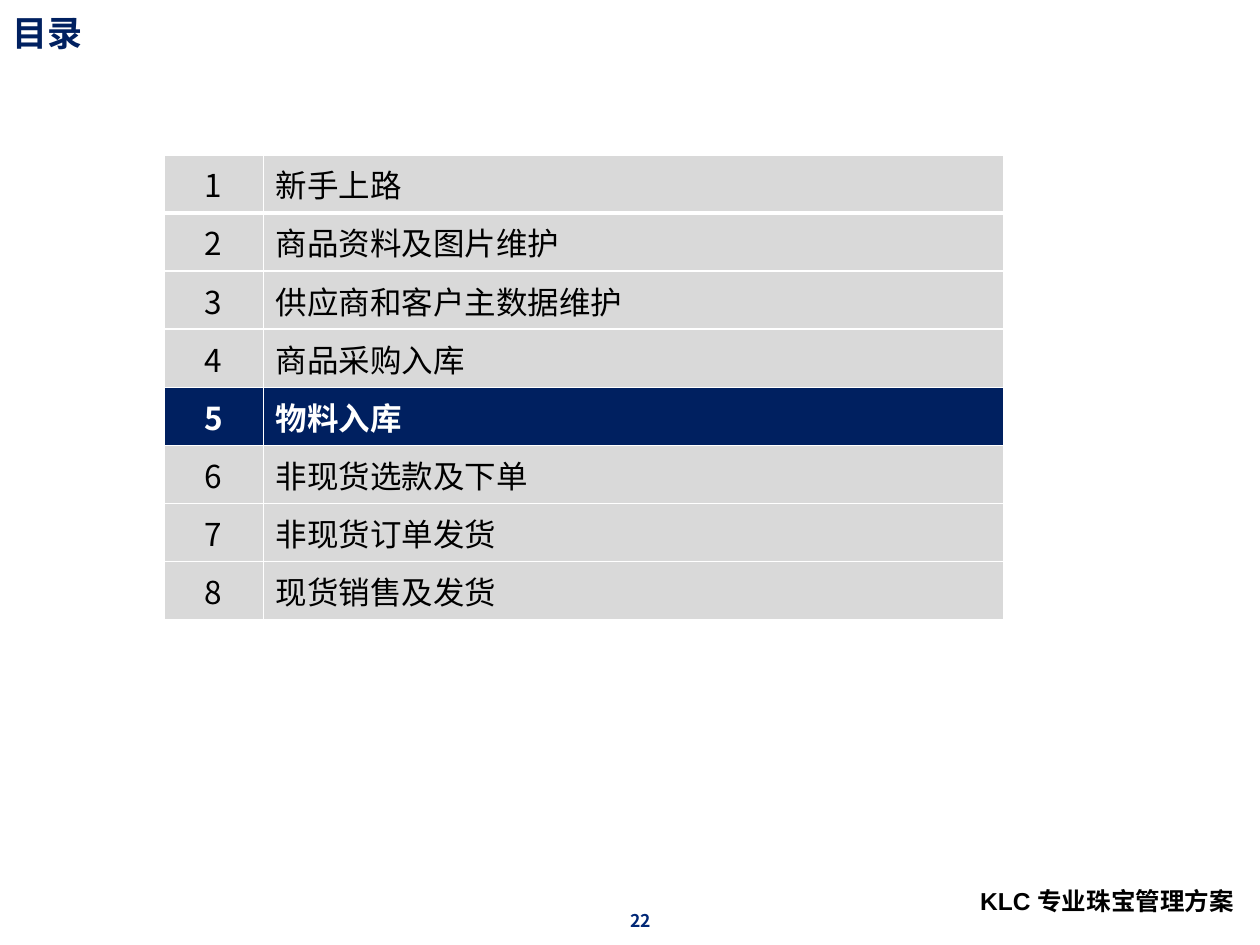
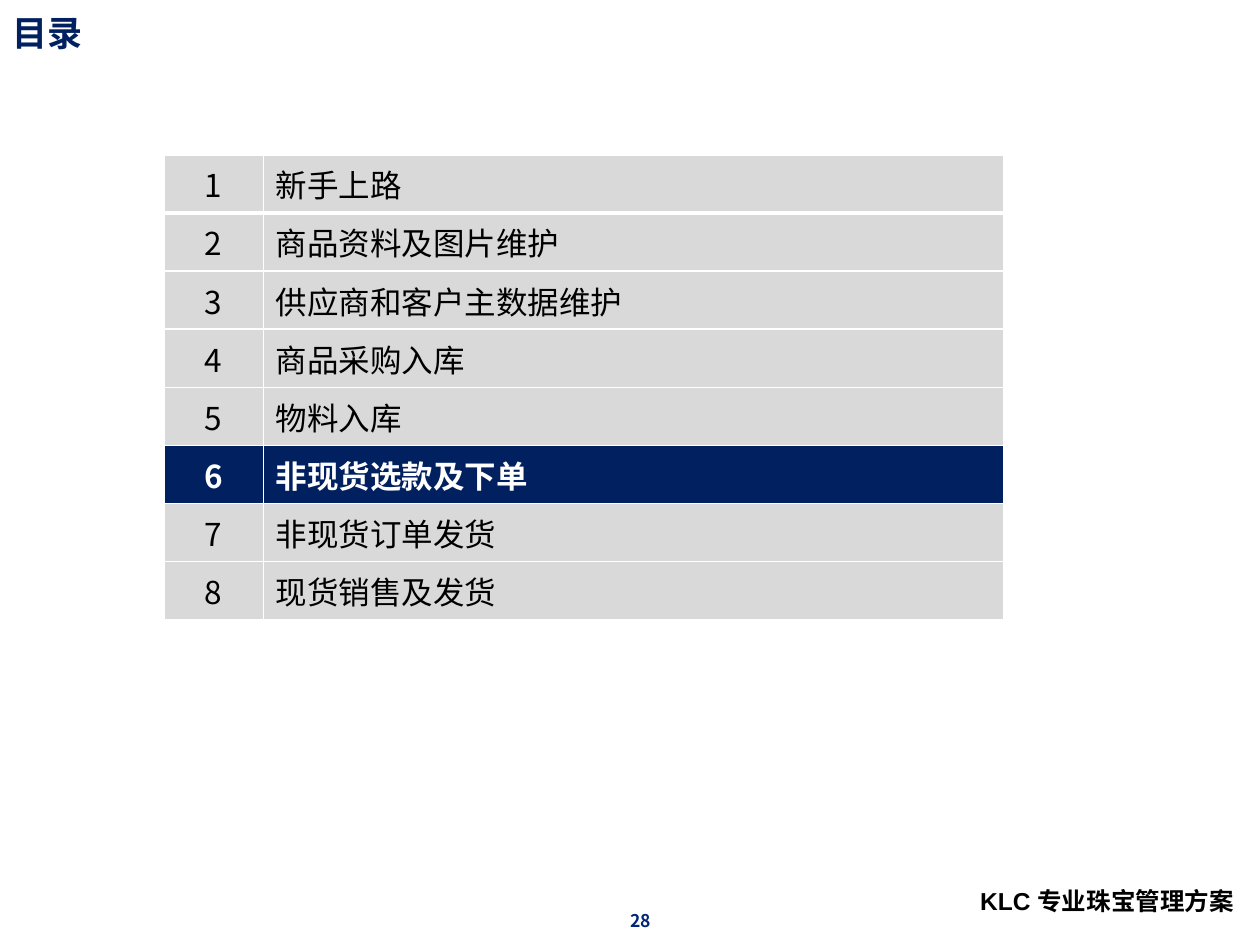
import pptx
import pptx.dml.color
import pptx.enum.text
import pptx.oxml
import pptx.oxml.ns
import pptx.util
from lxml import etree

RGBColor = pptx.dml.color.RGBColor
Inches, Pt = pptx.util.Inches, pptx.util.Pt
PP_ALIGN, MSO_ANCHOR = pptx.enum.text.PP_ALIGN, pptx.enum.text.MSO_ANCHOR

TITLE = "目录"
FOOTER = "KLC 专业珠宝管理方案"
CHAPTERS = [
    "新手上路",
    "商品资料及图片维护",
    "供应商和客户主数据维护",
    "商品采购入库",
    "物料入库",
    "非现货选款及下单",
    "非现货订单发货",
    "现货销售及发货",
]
AGENDAS = [  # page number, current chapter
    (22, 5),
    (28, 6),
]

NAVY = RGBColor(0x00, 0x20, 0x60)
PAGE_BLUE = RGBColor(0x00, 0x27, 0x76)
GREY = RGBColor(0xD9, 0xD9, 0xD9)
BLACK = RGBColor(0x00, 0x00, 0x00)
WHITE = RGBColor(0xFF, 0xFF, 0xFF)
CJK_FONT = "Noto Sans CJK SC"
LATIN_FONT = "Arial"

SLIDE_SIZE = (10, 7.5)
TITLE_BOX = (0, 0.08, 9.5, 0.45)
FOOTER_BOX = (7.68, 6.98, 2.52, 0.34)
PAGE_BOX = (5, 7.25, 0.39, 0.14)
AGENDA_BOX = (1.3, 1.23, 6.67, 3.69)
NUMBER_WIDTH = 0.79
THIN, THICK = 1, 3


def add_run(paragraph, text, size, color, bold=False, latin=CJK_FONT):
    run = paragraph.add_run()
    run.text = text
    font = run.font
    font.size, font.bold, font.name = Pt(size), bold, latin
    font.color.rgb = color
    east_asian = etree.SubElement(run._r.get_or_add_rPr(), pptx.oxml.ns.qn("a:ea"))
    east_asian.set("typeface", CJK_FONT)


def add_label(slide, box, text, size, color, latin=CJK_FONT):
    """Add a bold one-line text box and return its text frame."""
    frame = slide.shapes.add_textbox(*map(Inches, box)).text_frame
    frame.word_wrap = True
    add_run(frame.paragraphs[0], text, size, color, True, latin)
    return frame


def add_frame(slide, page):
    """Add the title, footer and page number that every slide has."""
    title = add_label(slide, TITLE_BOX, TITLE, 20, NAVY)
    title.paragraphs[0].line_spacing = 0.9
    add_label(slide, FOOTER_BOX, FOOTER, 14, BLACK, LATIN_FONT)
    number = add_label(slide, PAGE_BOX, str(page), 10, PAGE_BLUE)
    number.vertical_anchor = MSO_ANCHOR.BOTTOM
    number.margin_left = number.margin_right = 0
    number.margin_top = number.margin_bottom = 0


def set_borders(cell, top, bottom):
    """Draw white cell borders; they must come before the fill in the XML."""
    properties = cell._tc.get_or_add_tcPr()
    widths = {"lnL": THIN, "lnR": THIN, "lnT": top, "lnB": bottom}
    for position, (side, width) in enumerate(widths.items()):
        properties.insert(position, pptx.oxml.parse_xml(
            f'<a:{side} {pptx.oxml.ns.nsdecls("a")} w="{Pt(width)}">'
            f'<a:solidFill><a:srgbClr val="{WHITE}"/></a:solidFill></a:{side}>'))


def add_agenda(slide, current):
    table = slide.shapes.add_table(len(CHAPTERS), 2, *map(Inches, AGENDA_BOX)).table
    table.first_row = table.horz_banding = False
    table.columns[0].width = Inches(NUMBER_WIDTH)
    table.columns[1].width = Inches(AGENDA_BOX[2] - NUMBER_WIDTH)
    for number, chapter in enumerate(CHAPTERS, 1):
        active = number == current
        for column, text in enumerate((str(number), chapter)):
            cell = table.cell(number - 1, column)
            cell.fill.solid()
            cell.fill.fore_color.rgb = NAVY if active else GREY
            set_borders(cell, THICK if number == 2 else THIN,
                        THICK if number == 1 else THIN)
            paragraph = cell.text_frame.paragraphs[0]
            paragraph.alignment = PP_ALIGN.LEFT if column else PP_ALIGN.CENTER
            add_run(paragraph, text, 18, WHITE if active else BLACK, active)


def main():
    deck = pptx.Presentation()
    deck.slide_width, deck.slide_height = map(Inches, SLIDE_SIZE)
    blank = deck.slide_layouts[6]
    for page, current in AGENDAS:
        slide = deck.slides.add_slide(blank)
        add_frame(slide, page)
        add_agenda(slide, current)
    deck.save("out.pptx")


if __name__ == "__main__":
    main()
